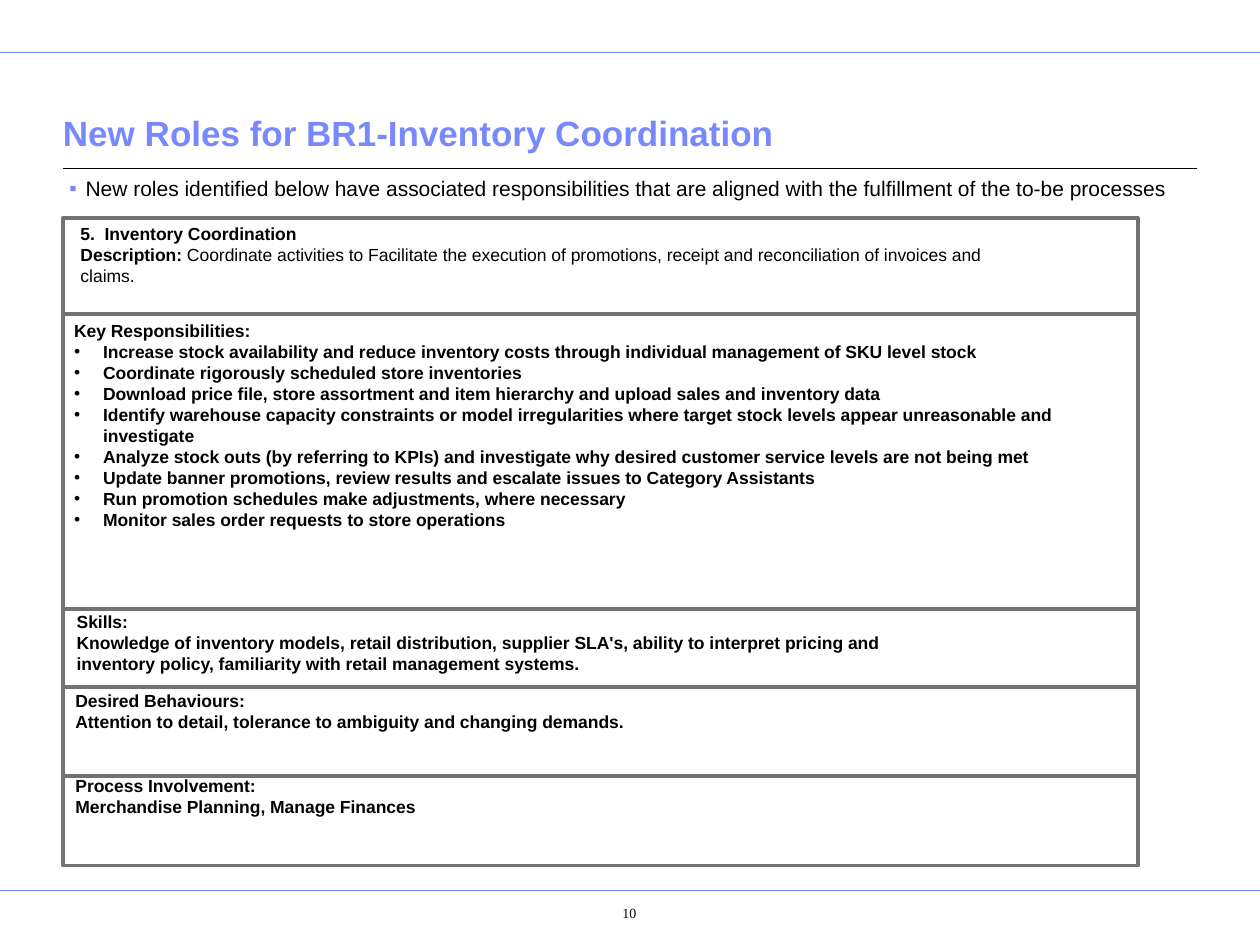
from dataclasses import dataclass
from itertools import accumulate

from lxml.etree import SubElement
from pptx import Presentation
from pptx.dml.color import RGBColor
from pptx.enum.shapes import MSO_CONNECTOR as Connector, MSO_SHAPE as Shape
from pptx.enum.text import MSO_ANCHOR as Anchor, PP_ALIGN as Align
from pptx.oxml.ns import qn
from pptx.util import Inches, Pt


@dataclass(frozen=True)
class Theme:
    accent: str = "7889FB"
    ink: str = "000000"
    frame: str = "727272"
    sans: str = "Arial"
    serif: str = "Times New Roman"
    title: float = 20
    intro: float = 12
    body: float = 10
    number: float = 8


@dataclass(frozen=True)
class Rule:
    left: float
    right: float
    y: float
    color: str
    weight: float


@dataclass(frozen=True)
class Section:
    """One framed panel with its text box; a None width fills the panel."""
    panel_height: float
    left: float
    top: float
    width: float
    height: float
    heading: str
    text: str = ""
    label: str = ""
    bullets: tuple[str, ...] = ()


THEME = Theme()
PANEL_LEFT, PANEL_TOP, PANEL_WIDTH = 0.5, 1.73, 8.53

RULES = [
    Rule(0, 10, 0.42, THEME.accent, 0.5),
    Rule(0, 10, 7.07, THEME.accent, 0.5),
    Rule(0.5, 9.5, 1.34, THEME.ink, 0.75),
]

SECTIONS = [
    Section(0.76, 0.54, 1.72, 7.65, 0.6, "5.  Inventory Coordination",
            "Coordinate activities to Facilitate the execution of promotions, "
            "receipt and reconciliation of invoices and claims.",
            label="Description: "),
    Section(2.34, 0.49, 2.49, 8.54, 1.61, "Key Responsibilities:", bullets=(
        "Increase stock availability and reduce inventory costs through "
        "individual management of SKU level stock",
        "Coordinate rigorously scheduled store inventories",
        "Download price file, store assortment and item hierarchy and upload "
        "sales and inventory data",
        "Identify warehouse capacity constraints or model irregularities where "
        "target stock levels appear unreasonable and investigate",
        "Analyze stock outs (by referring to KPIs) and investigate why desired "
        "customer service levels are not being met",
        "Update banner promotions, review results and escalate issues to "
        "Category Assistants",
        "Run promotion schedules make adjustments, where necessary",
        "Monitor sales order requests to store operations",
    )),
    Section(0.62, 0.51, 4.8, 7.01, 0.6, "Skills:",
            "Knowledge of inventory models, retail distribution, supplier SLA's, "
            "ability to interpret pricing and inventory policy, familiarity with "
            "retail management systems."),
    Section(0.71, 0.5, 5.43, 4.6, 0.44, "Desired Behaviours:",
            "Attention to detail, tolerance to ambiguity and changing demands."),
    Section(0.71, 0.5, 6.1, 8.52, 0.44, "Process Involvement:",
            "Merchandise Planning, Manage Finances"),
]


def rgb(color: str) -> RGBColor:
    return RGBColor.from_string(color)


def add_rule(page, rule: Rule) -> None:
    line = page.shapes.add_connector(Connector.STRAIGHT, Inches(rule.left), Inches(rule.y),
                                     Inches(rule.right), Inches(rule.y))
    line.line.color.rgb = rgb(rule.color)
    line.line.width = Pt(rule.weight)
    SubElement(line._element.spPr, qn("a:effectLst"))


def add_panel(page, top: float, height: float) -> None:
    panel = page.shapes.add_shape(Shape.RECTANGLE, Inches(PANEL_LEFT), Inches(top),
                                  Inches(PANEL_WIDTH), Inches(height))
    panel.shadow.inherit = False
    panel.fill.background()
    panel.line.color.rgb = rgb(THEME.frame)
    panel.line.width = Pt(2.25)


def add_text_box(page, left: float, top: float, width: float, height: float,
                 inset: float = 0.1):
    box = page.shapes.add_textbox(Inches(left), Inches(top), Inches(width), Inches(height))
    frame = box.text_frame
    frame.word_wrap = True
    frame.margin_left = frame.margin_right = Inches(inset)
    frame.margin_top = frame.margin_bottom = Inches(0.05)
    return frame


def set_font(para, size: float, color: str = THEME.ink, bold: bool = False,
             name: str = THEME.sans) -> None:
    para.font.name = name
    para.font.size = Pt(size)
    para.font.bold = bold
    para.font.color.rgb = rgb(color)


def set_bullet(para, symbol: str, color: str, indent: float) -> None:
    props = para._p.get_or_add_pPr()
    props.set("marL", str(Inches(indent)))
    props.set("indent", str(-Inches(indent)))
    SubElement(SubElement(props, qn("a:buClr")), qn("a:srgbClr"), val=color)
    SubElement(props, qn("a:buFont"), typeface=THEME.sans)
    SubElement(props, qn("a:buChar"), char=symbol)


def add_section_text(page, section: Section) -> None:
    frame = add_text_box(page, section.left, section.top, section.width, section.height)
    heading = frame.paragraphs[0]
    heading.text = section.heading
    set_font(heading, THEME.body, bold=True)
    for item in section.bullets:
        para = frame.add_paragraph()
        para.text = item
        set_bullet(para, "•", THEME.ink, 0.23)
        set_font(para, THEME.body, bold=True)
    if section.text:
        para = frame.add_paragraph()
        if section.label:
            label = para.add_run()
            label.text = section.label
            label.font.bold = True
        para.add_run().text = section.text
        set_font(para, THEME.body, bold=not section.label)


def main() -> None:
    deck = Presentation()
    deck.slide_width, deck.slide_height = Inches(10), Inches(7.5)
    page = deck.slides.add_slide(deck.slide_layouts[6])

    # Page rules
    for rule in RULES:
        add_rule(page, rule)

    # Title
    frame = add_text_box(page, 0.5, 0.64, 9, 0.63, inset=0)
    frame.vertical_anchor = Anchor.BOTTOM
    title = frame.paragraphs[0]
    title.text = "New Roles for BR1-Inventory Coordination"
    set_font(title, THEME.title, THEME.accent, bold=True)

    # Introduction
    intro = add_text_box(page, 0.5, 1.34, 9, 0.36, inset=0.05).paragraphs[0]
    intro.text = ("New roles identified below have associated responsibilities that are "
                  "aligned with the fulfillment of the to-be processes")
    intro.line_spacing = 1.04
    set_bullet(intro, "▪", THEME.accent, 0.13)
    set_font(intro, THEME.intro)

    # Stacked panels, each starting where the one above ends
    tops = accumulate((section.panel_height for section in SECTIONS), initial=PANEL_TOP)
    for top, section in zip(tops, SECTIONS):
        add_panel(page, top, section.panel_height)
    for section in SECTIONS:
        add_section_text(page, section)

    # Page number
    frame = add_text_box(page, 4.27, 7.11, 1.15, 0.35)
    frame.margin_left, frame.margin_top = Inches(0.16), Inches(0.07)
    number = frame.paragraphs[0]
    number.text = "10"
    number.alignment = Align.CENTER
    number._p.get_or_add_pPr().set("marL", str(Inches(0.24)))
    set_font(number, THEME.number, name=THEME.serif)

    deck.save("out.pptx")


if __name__ == "__main__":
    main()
